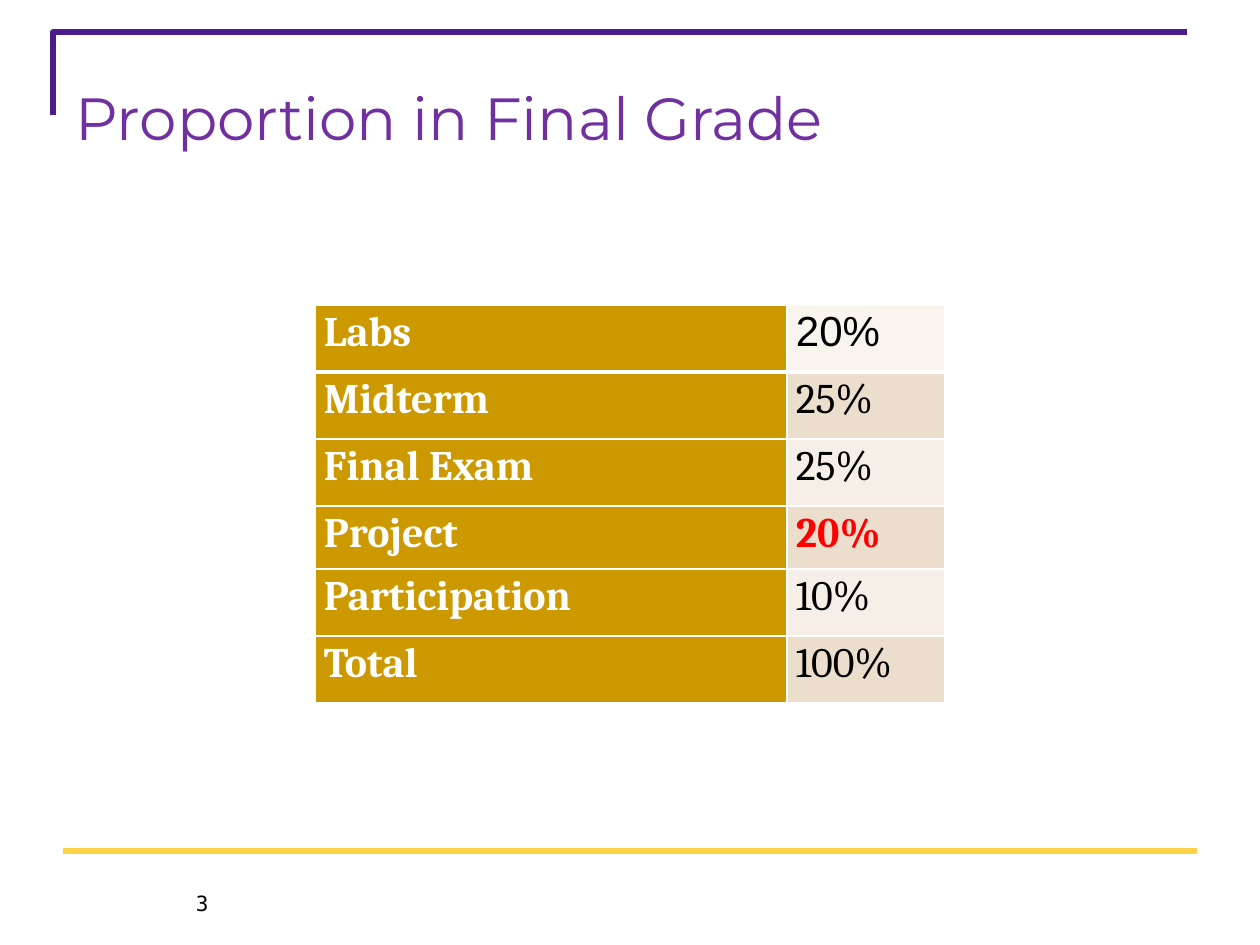
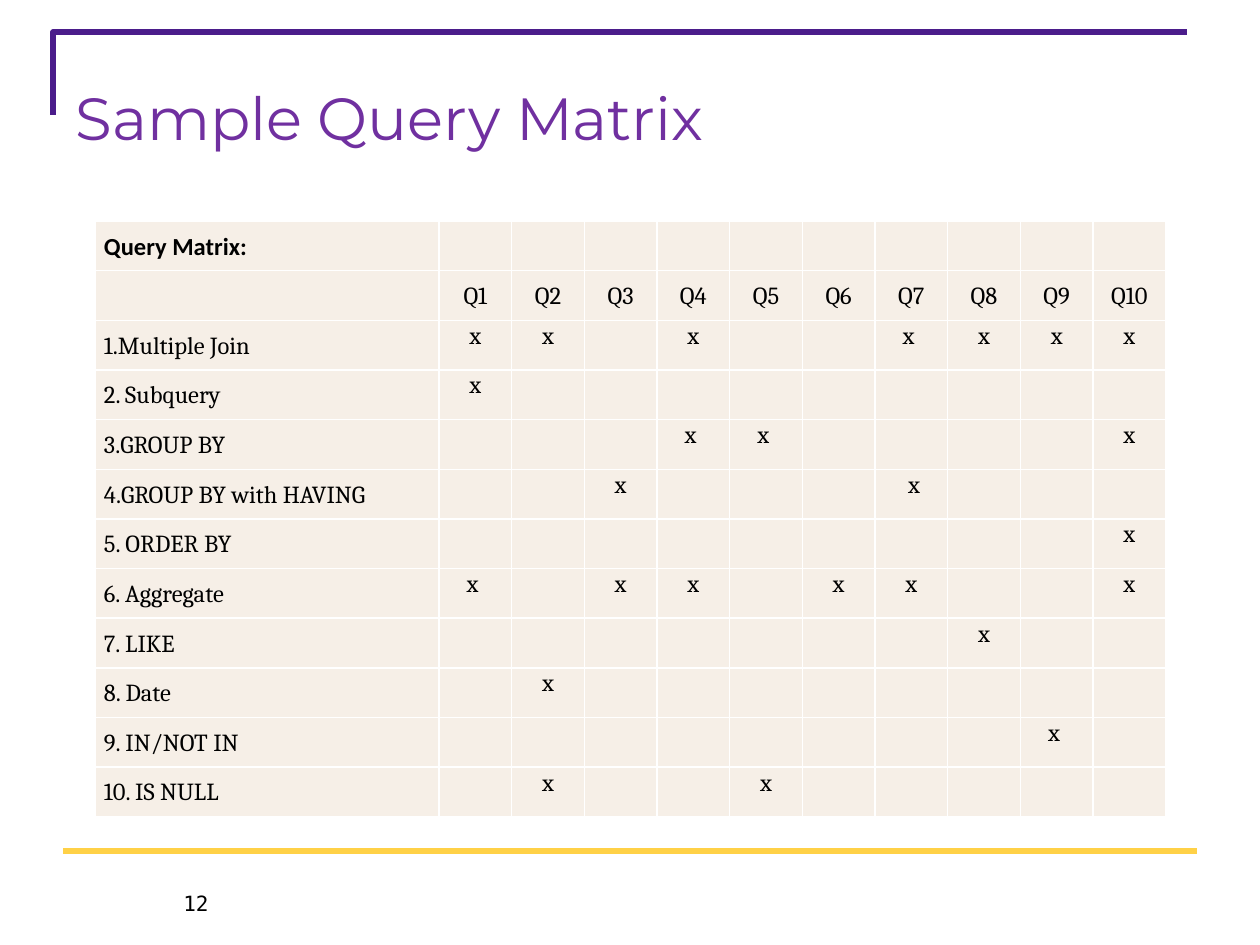
import pptx
import pptx.dml.color
import pptx.enum.shapes
import pptx.enum.text
import pptx.oxml
import pptx.oxml.ns
import pptx.util
import lxml.etree

PIXEL = 914400 / 126
COLORS = {
    "purple": "7030A0", "frame": "4B1D8B", "yellow": "FFD147",
    "gold": "CC9900", "cream": "F6EFE7", "pale": "F9F4EE", "tan": "ECDECC",
    "white": "FFFFFF", "black": "000000", "red": "FF0000",
}
RGB = {name: pptx.dml.color.RGBColor.from_string(value) for name, value in COLORS.items()}
ALIGN = pptx.enum.text.PP_ALIGN
ANCHOR = pptx.enum.text.MSO_ANCHOR


def box(*pixels):
    """Turn pixel lengths into EMU."""
    return [pptx.util.Emu(round(pixel * PIXEL)) for pixel in pixels]


def write_cell(cell, text, size, fill, color="black", font="Cambria", bold=False,
               align=ALIGN.LEFT, anchor=ANCHOR.TOP, bottom=1):
    """Write, fill and border one table cell; bottom is the lower line in points."""
    cell.margin_left, cell.margin_right, cell.margin_top, cell.margin_bottom = box(9, 9, 0, 0)
    cell.vertical_anchor = anchor
    cell.fill.solid()
    cell.fill.fore_color.rgb = RGB[fill]
    cell.text = text
    paragraph = cell.text_frame.paragraphs[0]
    paragraph.alignment = align
    paragraph.line_spacing = 1.07
    paragraph.font.size = pptx.util.Pt(size)
    paragraph.font.name = font
    paragraph.font.bold = bold
    paragraph.font.color.rgb = RGB[color]
    properties = cell._tc.get_or_add_tcPr()
    for index, (side, width) in enumerate([("L", 1), ("R", 1), ("T", 1), ("B", bottom)]):
        properties.insert(index, pptx.oxml.parse_xml(
            f'<a:ln{side} {pptx.oxml.ns.nsdecls("a")} w="{pptx.util.Pt(width)}">'
            f'<a:solidFill><a:srgbClr val="{COLORS["white"]}"/></a:solidFill></a:ln{side}>'))


presentation = pptx.Presentation()
presentation.slide_width, presentation.slide_height = box(1260, 945)

# Shared frame, rule, title and slide number
slides = []
for title_text, number in [("Proportion in Final Grade", "3"), ("Sample Query Matrix", "12")]:
    slide = presentation.slides.add_slide(presentation.slide_layouts[5])
    slides.append(slide)

    builder = slide.shapes.build_freeform(53, 115, scale=PIXEL)
    builder.add_line_segments([(53, 32), (1187, 32)], close=False)
    frame = builder.convert_to_shape()
    frame.shadow.inherit = False
    frame.fill.background()
    frame.line.color.rgb = RGB["frame"]
    frame.line.width = pptx.util.Pt(3)

    rule = slide.shapes.add_connector(
        pptx.enum.shapes.MSO_CONNECTOR.STRAIGHT, *box(63, 851, 1197, 851))
    rule.line.color.rgb = RGB["yellow"]
    rule.line.width = pptx.util.Pt(3)
    lxml.etree.SubElement(rule._element.spPr, pptx.oxml.ns.qn("a:effectLst"))

    title = slide.shapes.title
    title.left, title.top, title.width, title.height = box(63, 38, 1134, 158)
    number_box = slide.shapes.add_textbox(*box(63, 869, 158, 53))
    for shape, text, size, font, color, align, anchor in [
        (title, title_text, 34, "Montserrat", "purple", ALIGN.LEFT, ANCHOR.MIDDLE),
        (number_box, number, 12, "DejaVu Sans Mono", "black", ALIGN.RIGHT, ANCHOR.BOTTOM),
    ]:
        text_frame = shape.text_frame
        text_frame.word_wrap = True
        text_frame.auto_size = pptx.enum.text.MSO_AUTO_SIZE.NONE
        text_frame.vertical_anchor = anchor
        text_frame.text = text
        paragraph = text_frame.paragraphs[0]
        paragraph.alignment = align
        paragraph.font.size = pptx.util.Pt(size)
        paragraph.font.name = font
        paragraph.font.color.rgb = RGB[color]

grade_slide, query_slide = slides

# Grade table
grades = [("Labs", "20%"), ("Midterm", "25%"), ("Final Exam", "25%"),
          ("Project", "20%"), ("Participation", "10%"), ("Total", "100%")]
grade_table = grade_slide.shapes.add_table(len(grades), 2, *box(315, 305, 630, 398)).table
grade_table.first_row = grade_table.horz_banding = False
grade_table.columns[0].width, grade_table.columns[1].width = box(472, 158)
for row, (item, share) in enumerate(grades):
    is_first, is_project = row == 0, item == "Project"
    grade_table.rows[row].height = box(63 if is_project else 67)[0]
    bottom = 3 if is_first else 1
    write_cell(grade_table.cell(row, 0), item, 24, "gold", "white", bold=True, bottom=bottom)
    write_cell(grade_table.cell(row, 1), share, 24,
               "pale" if is_first else "tan" if row % 2 else "cream",
               color="red" if is_project else "black",
               font="Arial" if is_first else "Cambria",
               bold=is_project, bottom=bottom)

# Query matrix: one mark per query, Q1 to Q10
queries = [f"Q{number}" for number in range(1, 11)]
features = [
    ("1.Multiple Join", "x|x||x|||x\u00a0|x|x|x"),
    ("2. Subquery", "x|||||||||"),
    ("3.GROUP BY", "|||x\u00a0|x\u00a0|||||x"),
    ("4.GROUP BY with HAVING", "||x||||\u00a0x|||"),
    ("5. ORDER BY", "|||||||||x"),
    ("6. Aggregate", "x\u00a0||x|x||x|x|||x"),
    ("7. LIKE", "|||||||x||"),
    ("8. Date", "|x||||||||"),
    ("9. IN/NOT IN", "||||||||x\u00a0|"),
    ("10. IS NULL", "|x|||x|||||"),
]
matrix = [["Query Matrix:"] + [""] * len(queries), [""] + queries]
matrix += [[feature] + marks.split("|") for feature, marks in features]
left, top, width, height, label_width = box(95, 221, 1071, 596, 344)
query_table = query_slide.shapes.add_table(
    len(matrix), len(matrix[0]), left, top, width, height).table
query_table.first_row = query_table.horz_banding = False
for column_index, column in enumerate(query_table.columns):
    column.width = label_width if column_index == 0 else (width - label_width) // len(queries)
for row, texts in enumerate(matrix):
    query_table.rows[row].height = height // len(matrix)
    for column_index, text in enumerate(texts):
        is_label = column_index == 0
        write_cell(query_table.cell(row, column_index), text, 14, "cream",
                   font="Calibri" if row == 0 else "Cambria", bold=row == 0,
                   align=ALIGN.LEFT if is_label else ALIGN.CENTER,
                   anchor=ANCHOR.MIDDLE if is_label or row < 2 else ANCHOR.TOP)

presentation.save("out.pptx")
